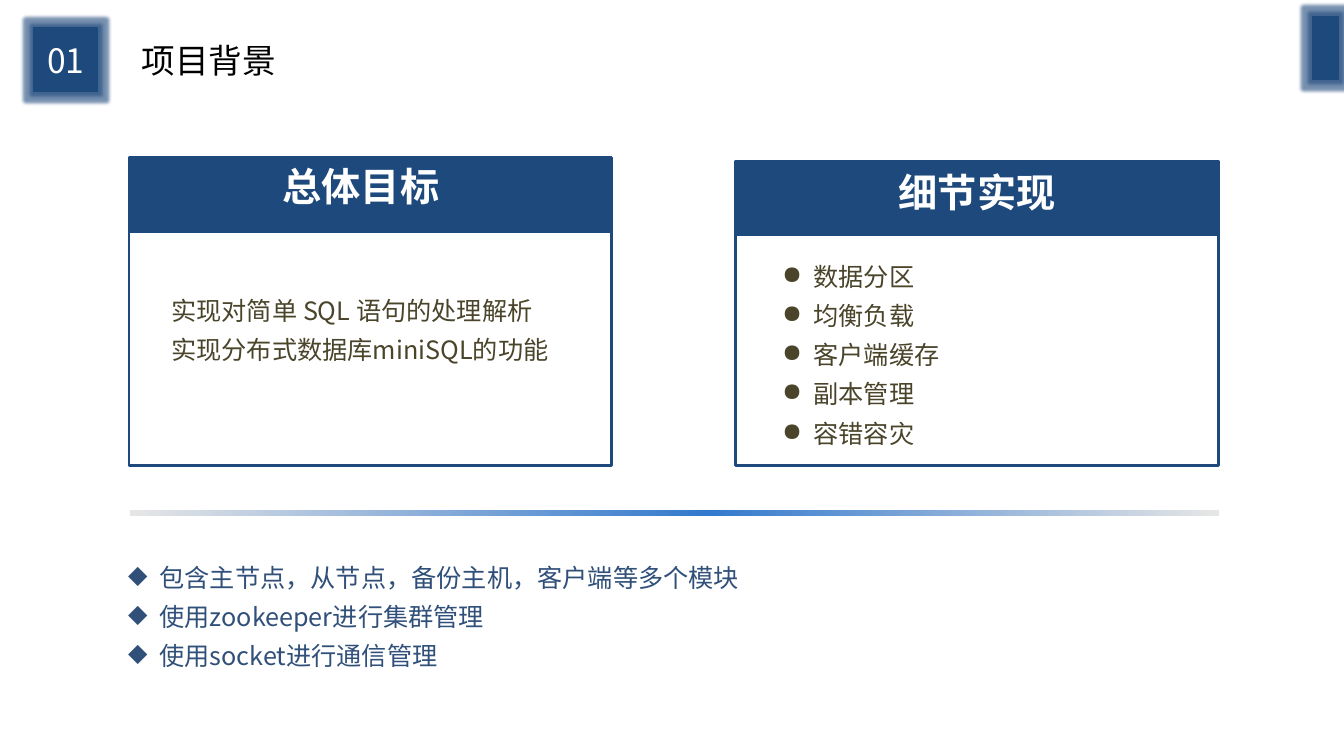
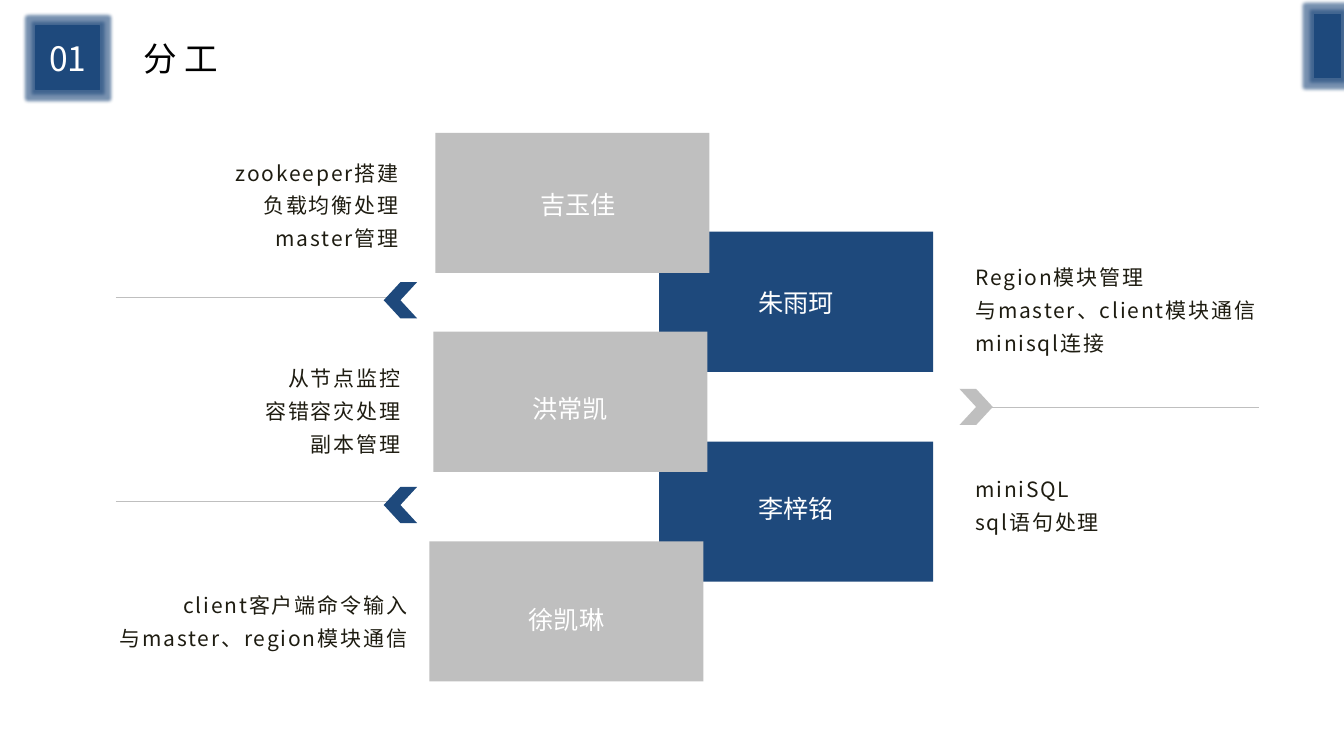
import dataclasses

import lxml.etree
import pptx
import pptx.dml.color
import pptx.enum.shapes
import pptx.enum.text
import pptx.oxml.ns
import pptx.util

Cm = pptx.util.Cm
Pt = pptx.util.Pt
qn = pptx.oxml.ns.qn
ALIGN = pptx.enum.text.PP_ALIGN
SHAPE = pptx.enum.shapes.MSO_SHAPE


@dataclasses.dataclass(frozen=True)
class Theme:
    """Colours, fonts and type sizes shared by the slides."""

    navy: str = "1E497C"
    grey: str = "BFBFBF"
    white: str = "FFFFFF"
    black: str = "000000"
    olive: str = "4A452A"
    steel: str = "30507A"
    label_ink: str = "1E1C11"
    rule_edge: str = "E6E6E6"
    rule_middle: str = "3379CD"
    font: str = "Noto Sans CJK SC"
    bullet_font: str = "OpenSymbol"
    card_title_size: int = 28
    title_size: int = 24
    body_size: int = 18
    label_size: int = 15
    body_leading: int = 28


THEME = Theme()


def rgb(value):
    """Turn a hex string into a colour."""
    return pptx.dml.color.RGBColor.from_string(value)


def add_child(parent, tag, **attributes):
    """Append an XML child with the given attributes."""
    child = lxml.etree.SubElement(parent, qn(tag))
    for name, value in attributes.items():
        child.set(name, str(value))
    return child


def write_text(shape, lines, size=THEME.body_size, color=THEME.white, bold=False,
               align=ALIGN.LEFT, spacing=None, tracking=None, bullet=None,
               inset=(0, 0, 0, 0)):
    """Write lines as vertically centred paragraphs with one format."""
    frame = shape.text_frame
    frame.word_wrap = True
    frame.vertical_anchor = pptx.enum.text.MSO_ANCHOR.MIDDLE
    (frame.margin_left, frame.margin_top,
     frame.margin_right, frame.margin_bottom) = (Cm(side) for side in inset)
    for index, line in enumerate(lines):
        paragraph = frame.add_paragraph() if index else frame.paragraphs[0]
        paragraph.alignment = align
        if spacing:
            paragraph.line_spacing = spacing
        if bullet:
            properties = paragraph._p.get_or_add_pPr()
            properties.set("marL", str(Cm(0.79)))
            properties.set("indent", str(-Cm(0.79)))
            add_child(properties, "a:buFont", typeface=THEME.bullet_font)
            add_child(properties, "a:buChar", char=bullet)
        run = paragraph.add_run()
        run.text = line
        run.font.size = Pt(size)
        run.font.bold = bold
        run.font.color.rgb = rgb(color)
        run.font.name = THEME.font
        run_properties = run._r.get_or_add_rPr()
        add_child(run_properties, "a:ea", typeface=THEME.font)
        if tracking:
            run_properties.set("spc", str(int(tracking * 100)))


def add_text(slide, left, top, width, height, lines, **text_format):
    """Add a text box."""
    box = slide.shapes.add_textbox(Cm(left), Cm(top), Cm(width), Cm(height))
    write_text(box, lines, **text_format)
    return box


def add_shape(slide, left, top, width, height, fill=None, line=None, line_width=1,
              kind=SHAPE.RECTANGLE):
    """Add a flat preset shape."""
    shape = slide.shapes.add_shape(kind, Cm(left), Cm(top), Cm(width), Cm(height))
    shape.shadow.inherit = False
    if fill:
        shape.fill.solid()
        shape.fill.fore_color.rgb = rgb(fill)
    else:
        shape.fill.background()
    if line:
        shape.line.color.rgb = rgb(line)
        shape.line.width = Pt(line_width)
    else:
        shape.line.fill.background()
    return shape


def add_glowing_block(slide, left, top, width, height):
    """Add a navy block with a soft halo."""
    block = add_shape(slide, left, top, width, height, THEME.navy, THEME.navy)
    effects = block._element.spPr.find(qn("a:effectLst"))
    glow = add_child(effects, "a:glow", rad=Pt(5))
    color = add_child(glow, "a:srgbClr", val=THEME.navy)
    add_child(color, "a:alpha", val=60000)
    return block


def add_header(slide, left, top, number, title):
    """Place the numbered block, the title and the edge tab."""
    block = add_glowing_block(slide, left, top, 1.6, 1.6)
    write_text(block, [number], size=THEME.title_size, align=ALIGN.CENTER)
    add_glowing_block(slide, left + 32.21, top - 0.3, 0.66, 1.6)
    add_text(slide, left + 2.46, top + 0.16, 6.93, 1.27, [title],
             size=THEME.title_size, color=THEME.black, inset=(0.25, 0.13, 0.25, 0.13))


def add_card(slide, left, top, width, height, band_height, title, lines,
             title_inset, body_inset, bullet=None):
    """Place a title band above an outlined body."""
    band = add_shape(slide, left, top, width, band_height, THEME.navy, THEME.navy, 2)
    write_text(band, [title], size=THEME.card_title_size, bold=True,
               align=ALIGN.CENTER, inset=title_inset)
    body = add_shape(slide, left, top + band_height, width, height - band_height,
                     line=THEME.navy, line_width=2)
    write_text(body, lines, color=THEME.olive, align=ALIGN.JUSTIFY,
               spacing=Pt(THEME.body_leading), bullet=bullet, inset=body_inset)


def add_gradient_rule(slide, left, top, width, height):
    """Place a bar that fades towards both ends."""
    rule = add_shape(slide, left, top, width, height)
    rule.fill.gradient()
    rule.fill.gradient_angle = 0
    stops = rule._element.spPr.find(qn("a:gradFill")).find(qn("a:gsLst"))
    for stop in list(stops):
        stops.remove(stop)
    for position, color in ((0, THEME.rule_edge), (53, THEME.rule_middle),
                            (100, THEME.rule_edge)):
        stop = add_child(stops, "a:gs", pos=position * 1000)
        add_child(stop, "a:srgbClr", val=color)


def add_divider(slide, left, top, width, line_drop, color, points_left):
    """Place a hairline that ends in a chevron."""
    chevron_width, overlap = 0.84, 0.43
    line_left = left if points_left else left + overlap
    line = slide.shapes.add_connector(
        pptx.enum.shapes.MSO_CONNECTOR.STRAIGHT,
        Cm(line_left), Cm(top + line_drop),
        Cm(line_left + width - overlap), Cm(top + line_drop))
    line.line.color.rgb = rgb(THEME.grey)
    line.line.width = Pt(0.25)
    add_child(line._element.spPr, "a:effectLst")
    chevron_left = left + width - chevron_width if points_left else left
    chevron = add_shape(slide, chevron_left, top, chevron_width, 0.91, color,
                        kind=SHAPE.CHEVRON)
    chevron.rotation = 180 if points_left else 0


def build_background_slide(slide):
    """Build the project background slide."""
    add_header(slide, 0.86, 0.71, "01", "项目背景")
    add_card(slide, 3.25, 3.96, 12.17, 7.77, 1.88, "总体目标",
             ["实现对简单 SQL 语句的处理解析", "实现分布式数据库miniSQL的功能"],
             title_inset=(0, 0, 0.48, 0.43), body_inset=(1.07, 0, 1.07, 1.17))
    add_card(slide, 18.54, 4.06, 12.17, 7.67, 1.86, "细节实现",
             ["数据分区", "均衡负载", "客户端缓存", "副本管理", "容错容灾"],
             title_inset=(0, 0, 0, 0.3), body_inset=(1.17, 0, 0.97, 0), bullet="●")
    add_gradient_rule(slide, 3.28, 12.85, 27.43, 0.15)
    add_text(slide, 3.23, 13.92, 27.38, 3,
             ["包含主节点，从节点，备份主机，客户端等多个模块",
              "使用zookeeper进行集群管理", "使用socket进行通信管理"],
             color=THEME.steel, align=ALIGN.JUSTIFY,
             spacing=Pt(THEME.body_leading), bullet="◆")


def build_division_slide(slide):
    """Build the division of work slide."""
    add_header(slide, 0.91, 0.66, "01", "分 工")
    name_panels = (
        ("朱雨珂", 16.61, 5.84, THEME.navy, (0, 0, 0, 0.14)),
        ("李梓铭", 16.61, 11.13, THEME.navy, (0, 0, 0, 0.3)),
        ("吉玉佳", 10.97, 3.35, THEME.grey, (0.3, 0, 0, 0.09)),
        ("洪常凯", 10.92, 8.36, THEME.grey, (0, 0.16, 0, 0)),
        ("徐凯琳", 10.82, 13.64, THEME.grey, (0, 0.26, 0, 0)),
    )
    for name, left, top, color, inset in name_panels:
        panel = add_shape(slide, left, top, 6.91, 3.53, color)
        write_text(panel, [name], align=ALIGN.CENTER, spacing=1.2, inset=inset)

    add_divider(slide, 24.18, 9.8, 7.54, 0.46, THEME.grey, points_left=False)
    for top in (7.11, 12.27):
        add_divider(slide, 2.92, top, 7.59, 0.37, THEME.navy, points_left=True)

    task_labels = (
        (2.92, 4.24, 7.37, ALIGN.RIGHT, ["zookeeper搭建", "负载均衡处理", "master管理"]),
        (2.97, 9.42, 7.37, ALIGN.RIGHT, ["从节点监控", "容错容灾处理", "副本管理"]),
        (2.41, 14.73, 8.1, ALIGN.RIGHT,
         ["client客户端命令输入", "与master、region模块通信"]),
        (24.33, 6.88, 8.53, ALIGN.LEFT,
         ["Region模块管理", "与master、client模块通信", "minisql连接"]),
        (24.33, 11.81, 7.37, ALIGN.LEFT, ["miniSQL", "sql语句处理"]),
    )
    for left, top, width, align, lines in task_labels:
        add_text(slide, left, top, width, 1.68, lines, size=THEME.label_size,
                 color=THEME.label_ink, align=align, spacing=1.3, tracking=1.3,
                 inset=(0.25, 0.13, 0.25, 0.13))


def main():
    """Build and save the presentation."""
    presentation = pptx.Presentation()
    presentation.slide_width = Cm(33.87)
    presentation.slide_height = Cm(19.05)
    for build in (build_background_slide, build_division_slide):
        build(presentation.slides.add_slide(presentation.slide_layouts[6]))
    presentation.save("out.pptx")


if __name__ == "__main__":
    main()
